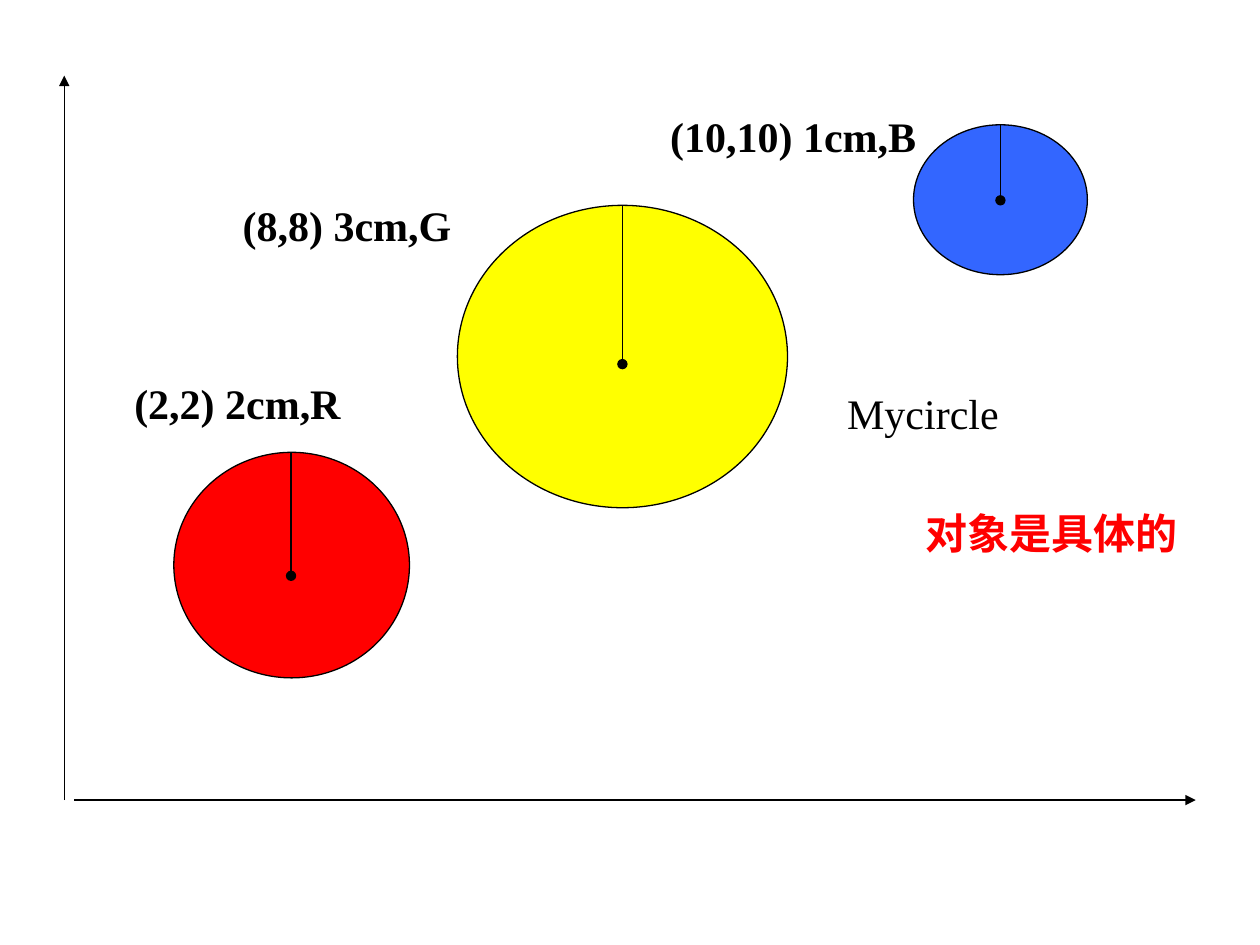
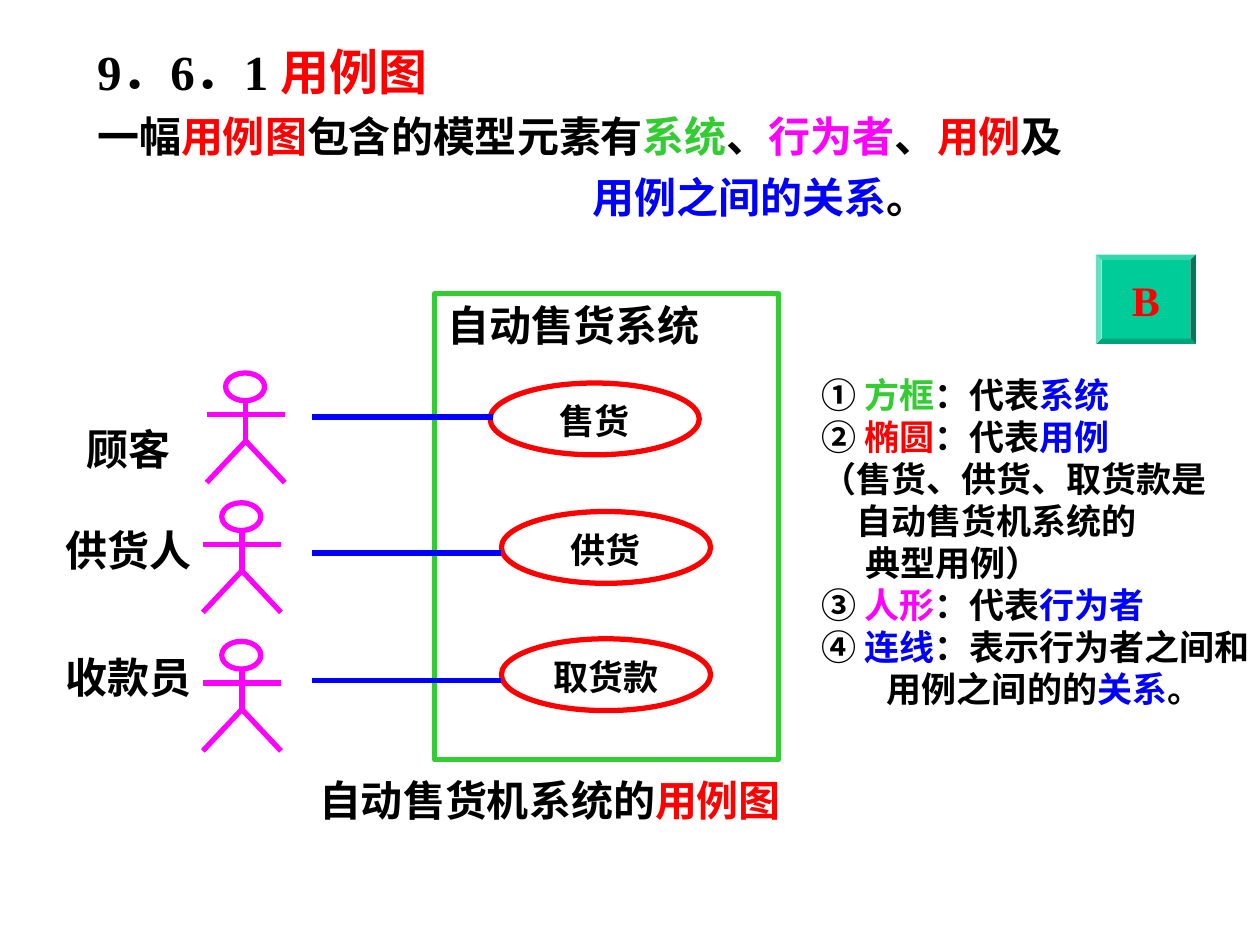
from dataclasses import dataclass
from typing import NamedTuple, Optional

import pptx
import pptx.dml.color
import pptx.enum.shapes
import pptx.enum.text
import pptx.oxml
import pptx.oxml.ns
import pptx.util

EMU_PER_PX = 9144
PRESET = pptx.enum.shapes.MSO_SHAPE
ALIGN = pptx.enum.text.PP_ALIGN
ANCHOR = pptx.enum.text.MSO_ANCHOR


@dataclass(frozen=True)
class Theme:
    font: str = "Times New Roman"
    black: str = "000000"
    white: str = "FFFFFF"
    red: str = "FF0000"
    yellow: str = "FFFF00"
    sky: str = "3366FF"
    blue: str = "0000FF"
    green: str = "33CC33"
    magenta: str = "FF00FF"
    teal: str = "00CC99"
    title_size: int = 28
    body_size: int = 24
    small_size: int = 20
    thin: float = 0.75
    thick: float = 3


THEME = Theme()


class Box(NamedTuple):
    left: int
    top: int
    width: int
    height: int


class Point(NamedTuple):
    x: int
    y: int


class Span(NamedTuple):
    text: str
    color: str = THEME.black


@dataclass(frozen=True)
class Line:
    spans: tuple[Span, ...]
    size: int = THEME.body_size
    bold: bool = True
    align: ALIGN = ALIGN.CENTER
    before: int = 0
    indent: int = 0


@dataclass(frozen=True)
class Circle:
    box: Box
    color: str
    center_y: int
    label: str
    label_at: Point


@dataclass(frozen=True)
class UseCase:
    actor_at: Point
    ellipse: Box
    name: str
    link_y: int
    link_end: int


CIRCLES = (
    Circle(Box(138, 359, 187, 179), THEME.red, 457, "(2,2) 2cm,R", Point(98, 288)),
    Circle(Box(363, 163, 262, 240), THEME.yellow, 289, "(8,8) 3cm,G", Point(185, 147)),
    Circle(Box(725, 99, 138, 119), THEME.sky, 159, "(10,10) 1cm,B", Point(539, 76)),
)

USE_CASES = (
    UseCase(Point(164, 296), Box(389, 304, 166, 57), "售货", 331, 391),
    UseCase(Point(161, 399), Box(398, 406, 166, 57), "供货", 439, 398),
    UseCase(Point(161, 509), Box(398, 507, 166, 57), "取货款", 540, 398),
)

ACTOR_LIMBS = (
    (Point(31, 22), Point(31, 54)),
    (Point(31, 54), Point(0, 87)),
    (Point(31, 54), Point(62, 87)),
    (Point(0, 33), Point(62, 33)),
)


def px(length: int) -> pptx.util.Emu:
    return pptx.util.Emu(length * EMU_PER_PX)


def rgb(color: str) -> pptx.dml.color.RGBColor:
    return pptx.dml.color.RGBColor.from_string(color)


def write(shape, lines: list[Line], anchor=ANCHOR.MIDDLE, wrap: bool = False) -> None:
    frame = shape.text_frame
    frame.auto_size = pptx.enum.text.MSO_AUTO_SIZE.NONE
    frame.word_wrap = wrap
    frame.vertical_anchor = anchor
    for index, line in enumerate(lines):
        paragraph = frame.add_paragraph() if index else frame.paragraphs[0]
        if line.indent:
            properties = paragraph._p.get_or_add_pPr()
            properties.set("marL", str(px(line.indent)))
            properties.set("indent", "0")
        paragraph.alignment = line.align
        paragraph.space_before = pptx.util.Pt(line.before)
        paragraph.font.name = THEME.font
        paragraph.font.size = pptx.util.Pt(line.size)
        paragraph.font.bold = line.bold
        for span in line.spans:
            run = paragraph.add_run()
            run.text = span.text
            run.font.color.rgb = rgb(span.color)


def add_text(slide, box: Box, lines: list[Line], anchor=ANCHOR.MIDDLE) -> None:
    write(slide.shapes.add_textbox(*map(px, box)), lines, anchor)


def add_preset(shapes, preset, box: Box, fill: str, line: Optional[str], weight: float):
    shape = shapes.add_shape(preset, *map(px, box))
    shape.shadow.inherit = False
    shape.fill.solid()
    shape.fill.fore_color.rgb = rgb(fill)
    if line:
        shape.line.color.rgb = rgb(line)
        shape.line.width = pptx.util.Pt(weight)
    else:
        shape.line.fill.background()
    return shape


def add_line(shapes, start: Point, end: Point, color: str, weight: float,
             tail: Optional[str] = None) -> None:
    connector = shapes.add_connector(
        pptx.enum.shapes.MSO_CONNECTOR.STRAIGHT, *map(px, (*start, *end)))
    connector.line.color.rgb = rgb(color)
    connector.line.width = pptx.util.Pt(weight)
    if tail:
        outline = connector.line._get_or_add_ln()
        outline.append(pptx.oxml.parse_xml(
            f'<a:tailEnd {pptx.oxml.ns.nsdecls("a")} type="{tail}"/>'))
    connector._element.spPr.append(pptx.oxml.parse_xml(
        f'<a:effectLst {pptx.oxml.ns.nsdecls("a")}/>'))


def add_circle(slide, circle: Circle) -> None:
    group = slide.shapes.add_group_shape()
    box = circle.box
    add_preset(group.shapes, PRESET.OVAL, box, circle.color, THEME.black, THEME.thin)
    middle = box.left + box.width // 2
    add_line(group.shapes, Point(middle, box.top), Point(middle, circle.center_y),
             THEME.black, THEME.thin, "oval")


def add_actor(slide, origin: Point) -> None:
    group = slide.shapes.add_group_shape()
    head = Box(origin.x + 15, origin.y, 31, 22)
    add_preset(group.shapes, PRESET.FLOWCHART_CONNECTOR, head,
               THEME.white, THEME.magenta, THEME.thick)
    for start, end in ACTOR_LIMBS:
        add_line(group.shapes, Point(origin.x + start.x, origin.y + start.y),
                 Point(origin.x + end.x, origin.y + end.y), THEME.magenta, THEME.thick)


def build_objects_slide(presentation) -> None:
    slide = presentation.slides.add_slide(presentation.slide_layouts[6])
    for circle in CIRCLES:
        add_circle(slide, circle)
        add_text(slide, Box(*circle.label_at, 181, 63), [Line((Span(circle.label),))])
    for start, end in ((Point(51, 635), Point(51, 60)), (Point(59, 635), Point(949, 635))):
        add_line(slide.shapes, start, end, THEME.black, THEME.thin, "triangle")
    add_text(slide, Box(642, 296, 181, 63), [Line((Span("Mycircle"),), bold=False)])
    add_text(slide, Box(744, 391, 181, 63), [Line((Span("对象是具体的", THEME.red),))])


def add_heading(slide) -> None:
    title, body = slide.placeholders
    for placeholder, box in ((title, Box(67, 28, 867, 55)), (body, Box(67, 83, 867, 110))):
        placeholder.left, placeholder.top, placeholder.width, placeholder.height = map(px, box)
    write(title, [Line((Span("9．6．1 "), Span("用例图", THEME.red)),
                       THEME.title_size, align=ALIGN.LEFT)], ANCHOR.TOP, True)
    elements = (
        Span("一幅"), Span("用例图", THEME.red), Span("包含的模型元素有"),
        Span("系统", THEME.green), Span("、"), Span("行为者", THEME.magenta),
        Span("、"), Span("用例", THEME.red), Span("及"),
    )
    relations = (Span("用例之间的关系", THEME.blue), Span("。"))
    write(body, [Line(elements, align=ALIGN.LEFT),
                 Line(relations, align=ALIGN.LEFT, before=6, indent=393)], ANCHOR.TOP, True)


def add_legend(slide) -> None:
    def entry(*spans: Span, indent: int = 0) -> Line:
        return Line(spans, THEME.small_size, align=ALIGN.LEFT, indent=indent)

    def meaning(number: str, symbol: str, color: str, role: str) -> Line:
        return entry(Span(f"{number} "), Span(symbol, color), Span("：代表"),
                     Span(role, THEME.blue))

    add_text(slide, Box(642, 225, 358, 409), [
        meaning("①", "方框", THEME.green, "系统"),
        meaning("②", "椭圆", THEME.red, "用例"),
        entry(Span("（售货、供货、取货款是")),
        entry(Span("自动售货机系统的"), indent=28),
        entry(Span("典型用例）"), indent=35),
        meaning("③", "人形", THEME.magenta, "行为者"),
        entry(Span("④ "), Span("连线", THEME.blue), Span("：表示行为者之间和")),
        entry(Span("用例之间的的"), Span("关系", THEME.blue), Span("。"), indent=52),
    ])


def build_use_case_slide(presentation) -> None:
    slide = presentation.slides.add_slide(presentation.slide_layouts[0])
    add_heading(slide)
    system = add_preset(slide.shapes, PRESET.RECTANGLE, Box(345, 233, 273, 370),
                        THEME.white, THEME.green, THEME.thick)
    write(system, [Line((Span("自动售货系统"),), align=ALIGN.JUSTIFY)], ANCHOR.TOP, True)
    for use_case in USE_CASES:
        add_actor(slide, use_case.actor_at)
        ellipse = add_preset(slide.shapes, PRESET.OVAL, use_case.ellipse,
                             THEME.white, THEME.red, THEME.thick)
        write(ellipse, [Line((Span(use_case.name),), THEME.small_size)], ANCHOR.TOP, True)
        add_line(slide.shapes, Point(248, use_case.link_y),
                 Point(use_case.link_end, use_case.link_y), THEME.blue, THEME.thick)
    actors = (("顾客", 0), ("供货人", 29), ("收款员", 44))
    add_text(slide, Box(43, 331, 118, 288),
             [Line((Span(name),), before=before) for name, before in actors], ANCHOR.TOP)
    add_legend(slide)
    add_text(slide, Box(224, 603, 425, 63),
             [Line((Span("自动售货机系统的"), Span("用例图", THEME.red)))])
    button = add_preset(slide.shapes, PRESET.BEVEL, Box(870, 202, 79, 71),
                        THEME.teal, None, THEME.thin)
    button.adjustments[0] = 0.06
    write(button, [Line((Span("B", THEME.red),))])


def main() -> None:
    presentation = pptx.Presentation()
    presentation.slide_width, presentation.slide_height = px(1000), px(750)
    build_objects_slide(presentation)
    build_use_case_slide(presentation)
    presentation.save("out.pptx")


if __name__ == "__main__":
    main()
